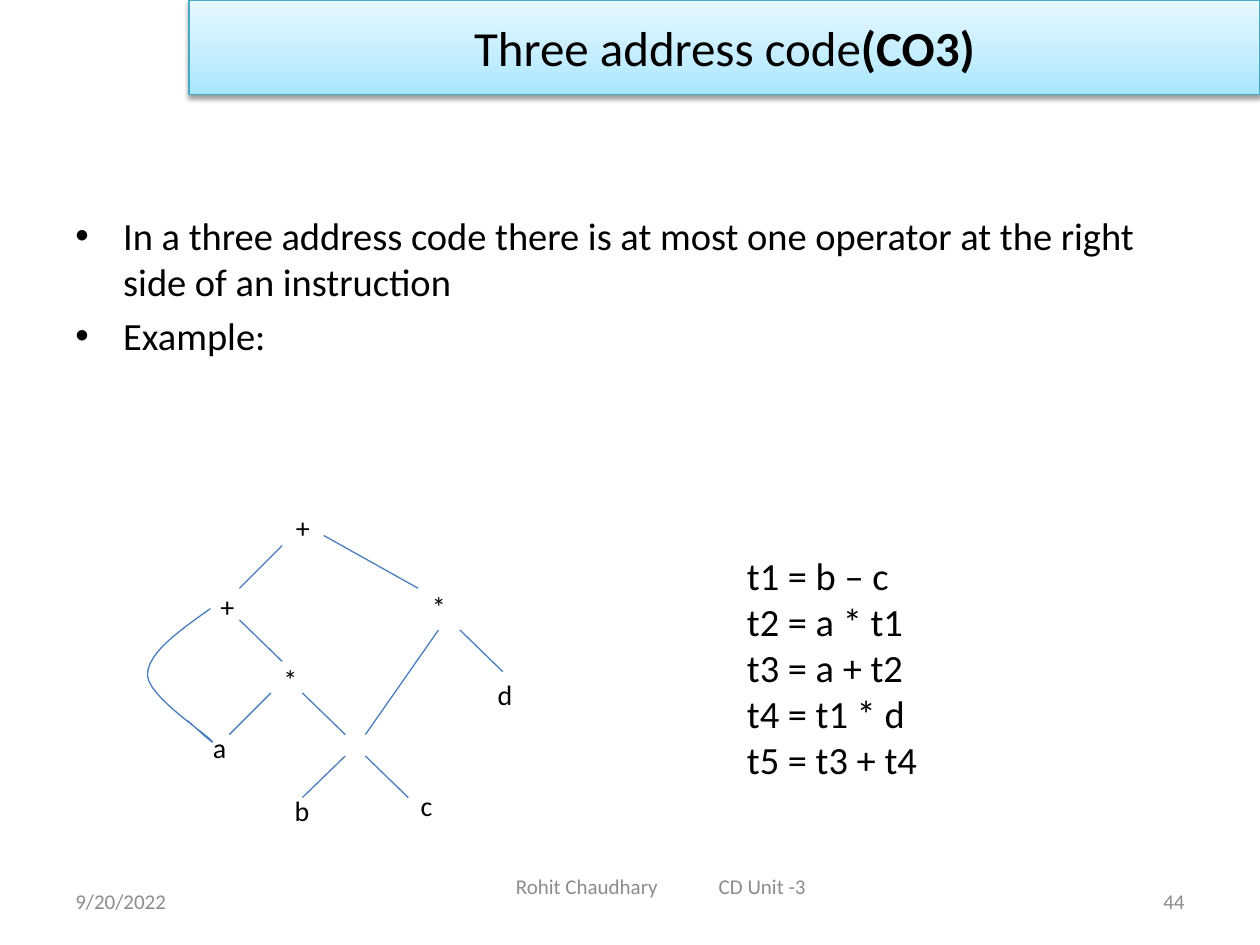
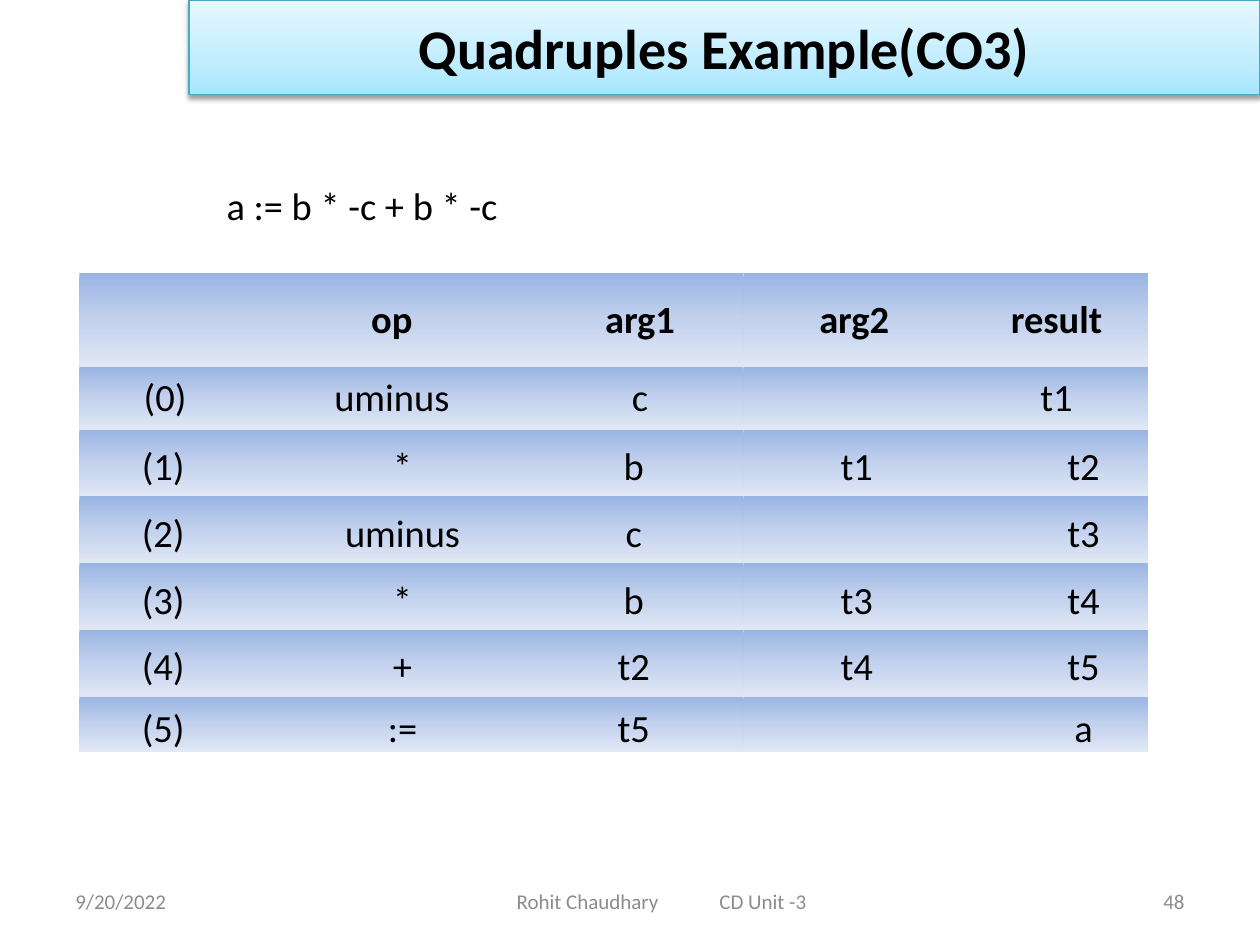
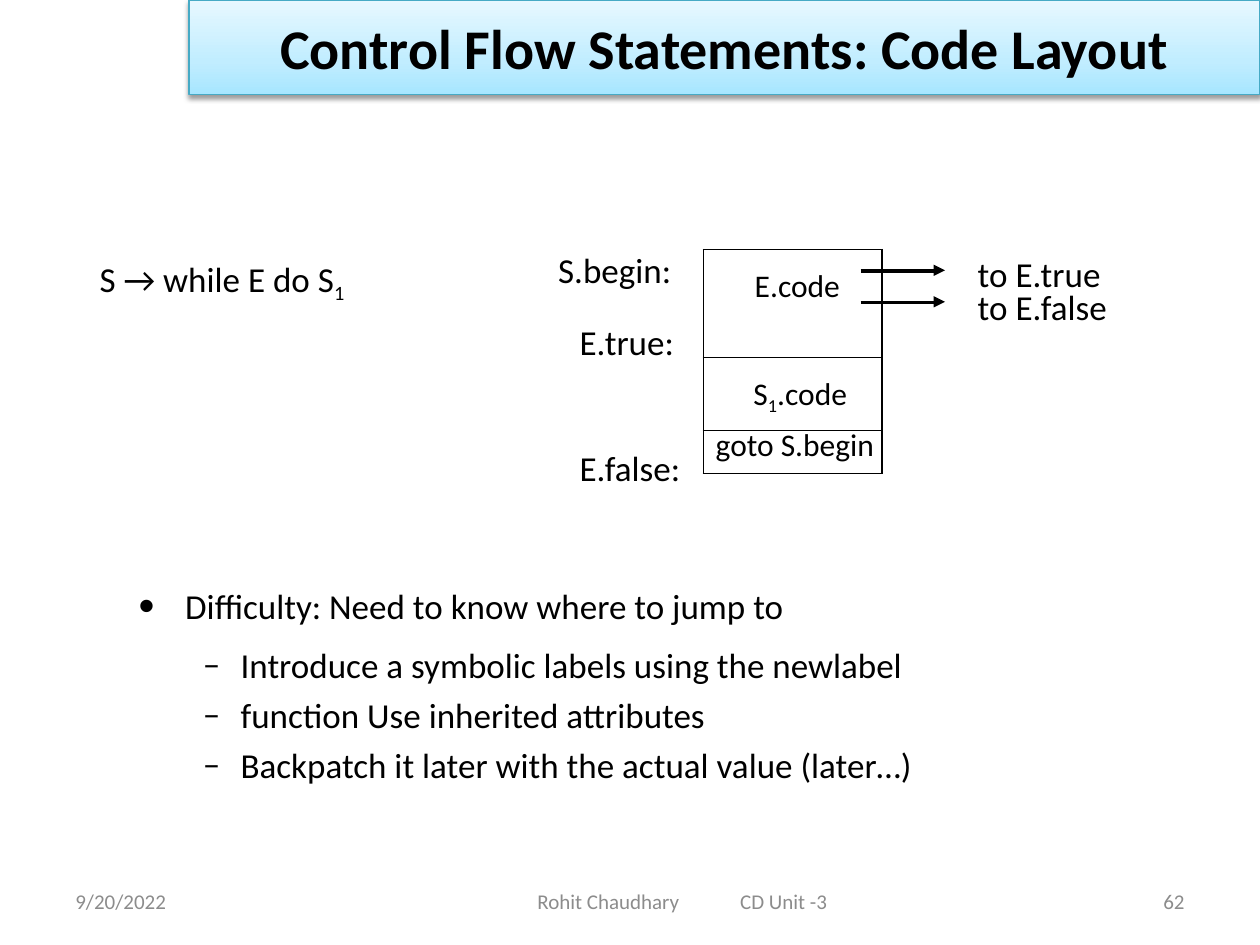
from dataclasses import dataclass

from lxml.etree import SubElement
from pptx import Presentation
from pptx.dml.color import RGBColor
from pptx.enum.shapes import MSO_CONNECTOR, MSO_SHAPE
from pptx.enum.text import MSO_ANCHOR, MSO_AUTO_SIZE, PP_ALIGN
from pptx.oxml.ns import qn
from pptx.util import Inches, Pt


@dataclass(frozen=True)
class Theme:
    font: str = "Calibri"
    ink: str = "000000"
    muted: str = "8C8C8C"
    banner_edge: str = "46AAC5"
    tree_line: str = "4B7EBC"
    banner_fill: tuple = ((0, "A7E6FF"), (35, "C1EDFF"), (100, "E7F8FF"))
    cell_fill: tuple = ((0, "9AB5E4"), (50, "C2D1ED"), (100, "E1E8F5"))
    title: int = 32
    title_small: int = 28
    body: int = 22
    label: int = 20
    code: int = 18
    node: int = 16
    footer: int = 12
    empty_cell: int = 8
    thin: float = 0.75
    thick: float = 2.25


THEME = Theme()
DEFAULT_INSETS = (0.1, 0.05, 0.1, 0.05)
TIGHT_INSETS = (0, 0.01, 0, 0)

# Content: a string is one span, a list holds (text, style) spans
DATE = "9/20/2022"
FOOTER = "Rohit Chaudhary\tCD Unit -3"
FOOTER_TAB, FOOTER_TEXT_WIDTH = 1.61, 2.31

ADDRESS_TITLE = [("Three address code", ""), ("(CO3)", "bold")]
ADDRESS_POINTS = [
    "In a three address code there is at most one operator at the right side of an instruction",
    "Example:",
]
INSTRUCTIONS = ["t1 = b – c", "t2 = a * t1", "t3 = a + t2", "t4 = t1 * d", "t5 = t3 + t4"]
TREE_NODES = [
    ("+", 2.25, 4), ("+", 1.65, 4.63), ("*", 3.33, 4.63), ("*", 2.15, 5.21),
    ("a", 1.59, 5.75), ("b", 2.24, 6.25), ("c", 3.24, 6.21), ("d", 3.85, 5.33),
]
TREE_EDGES = [
    (2.24, 4.33, 1.9, 4.67), (2.57, 4.25, 3.32, 4.67),
    (1.9, 4.92, 2.24, 5.25), (2.15, 5.5, 1.82, 5.83), (2.4, 5.5, 2.74, 5.83),
    (3.48, 5, 2.9, 5.83), (3.65, 5, 3.99, 5.33),
    (2.74, 6, 2.4, 6.33), (2.9, 6, 3.24, 6.33),
]
LOOP_START = (1.67, 4.83)
LOOP_CURVES = [
    ((1.42, 5.01), (1.17, 5.18), (1.17, 5.36)),
    ((1.18, 5.53), (1.63, 5.82), (1.68, 5.88)),
    ((1.73, 5.94), (1.49, 5.72), (1.49, 5.72)),
]

QUADRUPLES_TITLE = [("Quadruples Example(CO3)", "bold")]
EXPRESSION = "a := b * -c + b * -c"
QUADRUPLES = [
    ("", "op", "arg1", "arg2", "result"),
    ("(0)", "uminus", "c", "", "t1"),
    ("(1)", "*", "b", "t1", "t2"),
    ("(2)", "uminus", "c", "", "t3"),
    ("(3)", "*", "b", "t3", "t4"),
    ("(4)", "+", "t2", "t4", "t5"),
    ("(5)", ":=", "t5", "", "a"),
]
QUAD_WIDTHS = (1.33, 2.2, 1.74, 1.76, 1.45)
QUAD_HEIGHTS = (0.74, 0.5, 0.53, 0.53, 0.53, 0.53, 0.43)
TOP_ROW_INDENTS = ((0, 0.1, 0.1, 0, 0), (0.03, 0.1, 0.1, 0, 0))
LOWER_ROW_INDENTS = (0, 0.27, 0, 0.04, 0.43)

LAYOUT_TITLE = [("Control Flow Statements: Code Layout", "bold")]
PRODUCTION = [("S → while E do S", ""), ("1", "sub")]
CODE_LABELS = [("S.begin:", 4.43, 1.96), ("E.true:", 4.6, 2.53), ("E.false:", 4.6, 3.53)]
CODE_WIDTHS = (1.25, 0.17, 0.41)
CODE_HEIGHTS = (0.17, 0.25, 0.43, 0.58, 0.34)
CODE_MERGES = [((0, 0), (2, 0)), ((2, 2), (4, 2)), ((3, 0), (3, 1)), ((4, 0), (4, 1))]
# Sides of each cell: a capital is a thin border, a small letter a thick one
CODE_BORDERS = [
    ("LTB", "TRb", "b"),
    ("L", "tRb", "tb"),
    ("LB", "tRB", "t"),
    ("LTRB", "TRB", ""),
    ("LTRB", "TRB", ""),
]
# Row: text, indent, top inset, exact line spacing
CODE_BLOCKS = {
    0: ("E.code", 0.41, 0.14, None),
    3: ([("S", ""), ("1", "sub"), (".code", "")], 0.4, 0.14, None),
    4: ("goto S.begin", 0.1, 0, 19.2),
}
JUMPS = ["to E.true", "to E.false"]
JUMP_TIPS = (2.1, 2.35)
TIP_LEFT, TIP_SIZE = 7.41, 0.09
# Text, bullet, text indent, hanging, space before, bullet size
DIFFICULTY = [
    ("Difficulty: Need to know where to jump to", "•", 0.38, 0.37, 0, 130),
    ("Introduce a symbolic labels using the newlabel", "–", 0.82, 0.3, 9.5, 100),
    ("function Use inherited attributes", "–", 0.82, 0.3, 4.6, 100),
    ("Backpatch it later with the actual value (later…)", "–", 0.82, 0.3, 4.6, 100),
]


# Small XML parts
def add_child(parent, tag, **attributes):
    return SubElement(parent, qn(tag), attributes)


def set_gradient(fill, properties, stops, angle):
    fill.gradient()
    fill.gradient_angle = angle
    stop_list = properties.find(".//" + qn("a:gsLst"))
    for stop in list(stop_list):
        stop_list.remove(stop)
    for position, colour in stops:
        stop = add_child(stop_list, "a:gs", pos=str(position * 1000))
        add_child(stop, "a:srgbClr", val=colour)


def set_borders(cell, sides):
    properties = cell._tc.get_or_add_tcPr()
    for side in "LRTB":
        if side in sides.upper():
            width = THEME.thin if side in sides else THEME.thick
            border = add_child(properties, "a:ln" + side, w=str(Pt(width)))
            add_child(add_child(border, "a:solidFill"), "a:srgbClr", val=THEME.ink)


def set_bullet(para, character, left, hanging, size=100):
    properties = para._p.get_or_add_pPr()
    properties.set("marL", str(Inches(left)))
    properties.set("indent", str(-Inches(hanging)))
    add_child(properties, "a:buSzPct", val=str(size * 1000))
    add_child(properties, "a:buFont", typeface="Arial" if character == "•" else THEME.font)
    add_child(properties, "a:buChar", char=character)


def set_indent(para, left):
    para._p.get_or_add_pPr().set("marL", str(Inches(left)))


# Text
def write(para, content, size, colour=THEME.ink, align=None, bold=False):
    if isinstance(content, str):
        para.text = content
        styles = [""] * len(para.runs)
    else:
        for text, _ in content:
            para.add_run().text = text
        styles = [style for _, style in content]
    para.alignment = align
    for span, style in zip(para.runs, styles):
        span.font.name = THEME.font
        span.font.size = Pt(size)
        span.font.bold = bold or style == "bold"
        span.font.color.rgb = RGBColor.from_string(colour)
        if style == "sub":
            span._r.get_or_add_rPr().set("baseline", "-24000")


def set_insets(target, insets):
    (target.margin_left, target.margin_top,
     target.margin_right, target.margin_bottom) = map(Inches, insets)


def add_text(page, place, lines, size, colour=THEME.ink, align=None,
             insets=DEFAULT_INSETS, anchor=MSO_ANCHOR.TOP, wrap=True):
    box = page.shapes.add_textbox(*map(Inches, place))
    frame = box.text_frame
    frame.word_wrap = wrap
    if not wrap:
        frame.auto_size = MSO_AUTO_SIZE.SHAPE_TO_FIT_TEXT
    frame.vertical_anchor = anchor
    set_insets(frame, insets)
    for index, line in enumerate(lines):
        para = frame.add_paragraph() if index else frame.paragraphs[0]
        write(para, line, size, colour, align)
    return frame.paragraphs


# Lines, outlines and tables
def add_line(page, ends, colour, width):
    line = page.shapes.add_connector(MSO_CONNECTOR.STRAIGHT, *map(Inches, ends))
    line.line.color.rgb = RGBColor.from_string(colour)
    line.line.width = Pt(width)
    add_child(line._element.spPr, "a:effectLst")


def add_outline(page, points, close):
    start, *others = [tuple(map(Inches, point)) for point in points]
    builder = page.shapes.build_freeform(*start)
    builder.add_line_segments(others, close=close)
    outline = builder.convert_to_shape()
    outline.shadow.inherit = False
    return outline


def add_plain_table(page, left, top, widths, heights):
    frame = page.shapes.add_table(len(heights), len(widths), Inches(left), Inches(top),
                                  Inches(sum(widths)), Inches(sum(heights)))
    table = frame.table
    table.first_row = table.horz_banding = False
    style = frame._element.find(".//" + qn("a:tableStyleId"))
    style.text = "{2D5ABB26-0587-4C30-8999-92F81FD0307C}"
    for column, width in zip(table.columns, widths):
        column.width = Inches(width)
    for row, height in zip(table.rows, heights):
        row.height = Inches(height)
    return table


# Shared frame of every slide
def add_page(deck, title, title_size, number, footer_place):
    page = deck.slides.add_slide(deck.slide_layouts[6])
    banner = page.shapes.add_shape(MSO_SHAPE.RECTANGLE, Inches(1.5), 0, Inches(8.5), Inches(0.75))
    properties = banner._element.spPr
    set_gradient(banner.fill, properties, THEME.banner_fill, 90)
    banner.line.color.rgb = RGBColor.from_string(THEME.banner_edge)
    banner.line.width = Pt(THEME.thin)
    banner.shadow.inherit = False
    shadow = add_child(properties.find(qn("a:effectLst")), "a:outerShdw",
                       blurRad=str(Pt(3.1)), dist=str(Pt(1.6)), dir="5400000", rotWithShape="0")
    add_child(add_child(shadow, "a:srgbClr", val=THEME.ink), "a:alpha", val="38000")
    banner.text_frame.vertical_anchor = MSO_ANCHOR.MIDDLE
    write(banner.text_frame.paragraphs[0], title, title_size, align=PP_ALIGN.CENTER)

    style = dict(size=THEME.footer, colour=THEME.muted, anchor=MSO_ANCHOR.MIDDLE)
    add_text(page, (0.5, 6.95, 2.33, 0.4), [DATE], **style)
    add_text(page, (7.17, 6.95, 2.33, 0.4), [number], align=PP_ALIGN.RIGHT, **style)
    side = (footer_place[2] - FOOTER_TEXT_WIDTH) / 2
    para = add_text(page, footer_place, [FOOTER], insets=(side, 0.05, 0, 0.05), **style)[0]
    tabs = add_child(para._p.get_or_add_pPr(), "a:tabLst")
    add_child(tabs, "a:tab", pos=str(Inches(FOOTER_TAB)), algn="l")
    return page


def curve_points(start, curves, steps=12):
    yield start
    for first, second, end in curves:
        for step in range(1, steps + 1):
            t = step / steps
            weights = ((1 - t) ** 3, 3 * t * (1 - t) ** 2, 3 * t * t * (1 - t), t ** 3)
            yield tuple(sum(w * p[axis] for w, p in zip(weights, (start, first, second, end)))
                        for axis in (0, 1))
        start = end


def build_address_code(deck):
    page = add_page(deck, ADDRESS_TITLE, THEME.title_small, "44", (2.5, 6.83, 5.5, 0.4))
    points = add_text(page, (0.5, 1.17, 9, 5.53), ADDRESS_POINTS, THEME.body,
                      insets=(0.1, 0.51, 0.1, 0.05))
    for index, para in enumerate(points):
        set_bullet(para, "•", 0.38, 0.38)
        para.space_before = Pt(4.4 if index else 0)

    # Expression tree
    for symbol, left, top in TREE_NODES:
        add_text(page, (left, top, 0.31, 0.37), [symbol], THEME.node, wrap=False)
    for ends in TREE_EDGES:
        add_line(page, ends, THEME.tree_line, THEME.thin)
    loop = add_outline(page, curve_points(LOOP_START, LOOP_CURVES), close=False)
    loop.fill.background()
    loop.line.color.rgb = RGBColor.from_string(THEME.tree_line)
    loop.line.width = Pt(THEME.thin)

    add_text(page, (5.83, 4.33, 1.57, 2.26), INSTRUCTIONS, THEME.body, wrap=False)


def build_quadruples(deck):
    page = add_page(deck, QUADRUPLES_TITLE, THEME.title, "48", (3.42, 6.95, 3.67, 0.4))
    para = add_text(page, (1.67, 1.42, 4.67, 0.8), [EXPRESSION], THEME.body)[0]
    set_indent(para, 0.03)
    para.line_spacing = Pt(24.8)

    table = add_plain_table(page, 0.63, 2.17, QUAD_WIDTHS, QUAD_HEIGHTS)
    for row, values in enumerate(QUADRUPLES):
        top_rows = row < len(TOP_ROW_INDENTS)
        indents = TOP_ROW_INDENTS[row] if top_rows else LOWER_ROW_INDENTS
        for column, value in enumerate(values):
            cell = table.cell(row, column)
            set_gradient(cell.fill, cell._tc.get_or_add_tcPr(), THEME.cell_fill, 270)
            set_insets(cell, (0, 0 if top_rows else 0.07, 0, 0))
            cell.vertical_anchor = MSO_ANCHOR.MIDDLE
            if value:
                para = cell.text_frame.paragraphs[0]
                write(para, value, THEME.body, align=PP_ALIGN.CENTER, bold=row == 0)
                set_indent(para, indents[column])


def build_code_layout(deck):
    page = add_page(deck, LAYOUT_TITLE, THEME.title, "62", (3.42, 6.95, 4, 0.4))
    production = add_text(page, (0.75, 2.03, 2.19, 0.35), [PRODUCTION], THEME.label,
                          insets=TIGHT_INSETS)
    set_indent(production[0], 0.04)
    for label, left, top in CODE_LABELS:
        add_text(page, (left, top, 1.12, 0.35), [label], THEME.label, insets=TIGHT_INSETS)

    # Code blocks, with the jump lines as thick cell borders
    table = add_plain_table(page, 5.58, 1.98, CODE_WIDTHS, CODE_HEIGHTS)
    for first, last in CODE_MERGES:
        table.cell(*first).merge(table.cell(*last))
    for row, borders in enumerate(CODE_BORDERS):
        for column, sides in enumerate(borders):
            cell = table.cell(row, column)
            set_borders(cell, sides)
            cell.fill.background()
            para = cell.text_frame.paragraphs[0]
            if column or row not in CODE_BLOCKS:
                set_insets(cell, (0, 0, 0, 0))
                add_child(para._p, "a:endParaRPr", sz=str(THEME.empty_cell * 100))
                continue
            content, indent, inset, spacing = CODE_BLOCKS[row]
            set_insets(cell, (0, inset, 0, 0))
            write(para, content, THEME.code)
            set_indent(para, indent)
            if spacing:
                para.line_spacing = Pt(spacing)

    # Jumps out of the condition
    for top in JUMP_TIPS:
        corners = [(TIP_LEFT, top), (TIP_LEFT, top + TIP_SIZE),
                   (TIP_LEFT + TIP_SIZE, top + TIP_SIZE / 2)]
        tip = add_outline(page, corners, close=True)
        tip.fill.solid()
        tip.fill.fore_color.rgb = RGBColor.from_string(THEME.ink)
        tip.line.fill.background()
    for para in add_text(page, (7.75, 2.02, 1.08, 0.58), JUMPS, THEME.label,
                         insets=(0, 0.05, 0, 0)):
        set_indent(para, 0.01)
        para.line_spacing = Pt(19.2)

    points = add_text(page, (1.09, 4.63, 6.44, 1.62), [row[0] for row in DIFFICULTY],
                      THEME.label, insets=TIGHT_INSETS)
    for para, (_, character, left, hanging, before, size) in zip(points, DIFFICULTY):
        set_bullet(para, character, left, hanging, size)
        para.space_before = Pt(before)


def main():
    deck = Presentation()
    deck.slide_width, deck.slide_height = Inches(10), Inches(7.5)
    build_address_code(deck)
    build_quadruples(deck)
    build_code_layout(deck)
    deck.save("out.pptx")


if __name__ == "__main__":
    main()
